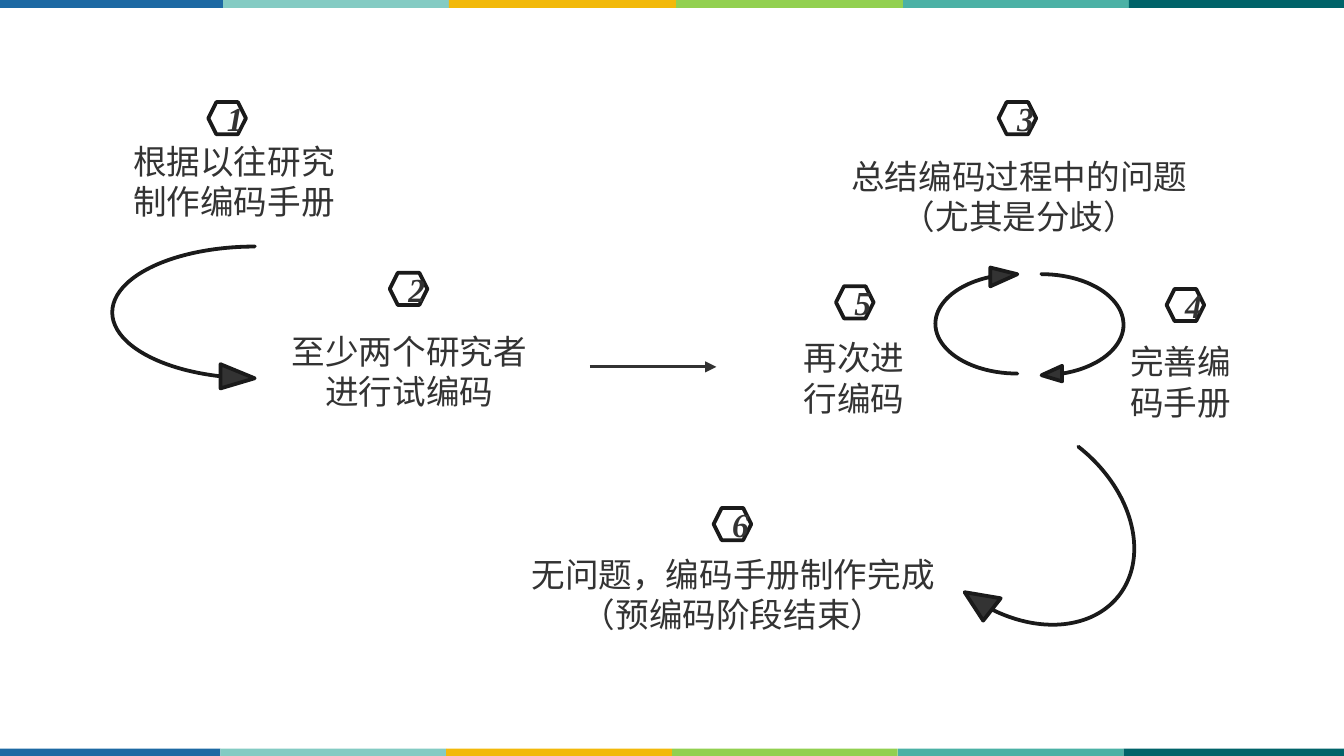
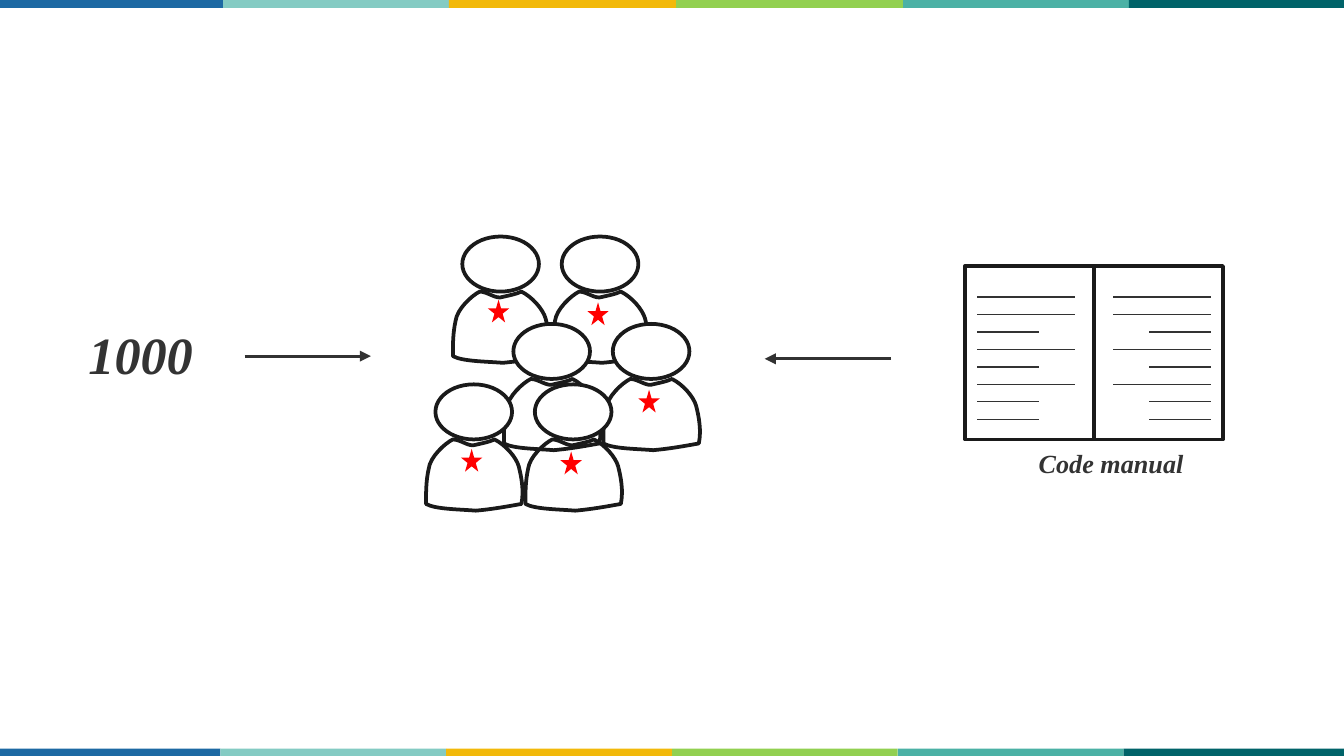
import pptx
import pptx.dml.color
import pptx.enum.shapes
import pptx.enum.text
import pptx.oxml.ns
import pptx.util
from lxml import etree

PX = 9144
WHITE, INK, OUTLINE, RULE, RED = "FFFFFF", "333333", "1A1A1A", "323232", "FF0000"
BANDS = ("1D69A3", "84CBC3", "F2B90A", "92D050", "4BB1A5", "006369")
rgb = pptx.dml.color.RGBColor.from_string
qn = pptx.oxml.ns.qn
KIND = pptx.enum.shapes.MSO_SHAPE
ALIGN = pptx.enum.text.PP_ALIGN
ANCHOR = pptx.enum.text.MSO_ANCHOR
FIT = pptx.enum.text.MSO_AUTO_SIZE


def draw(slide, kind, box, fill, line=None):
    shape = slide.shapes.add_shape(kind, *(n * PX for n in box))
    shape.shadow.inherit = False
    shape.fill.solid()
    shape.fill.fore_color.rgb = rgb(fill)
    if line:
        shape.line.color.rgb = rgb(line)
        shape.line.width = pptx.util.Pt(2)
    else:
        shape.line.fill.background()
    return shape


def write(shape, lines, size, font, strong, align, anchor, wrap):
    frame = shape.text_frame
    frame.auto_size = FIT.NONE if wrap else FIT.SHAPE_TO_FIT_TEXT
    frame.word_wrap = wrap
    frame.vertical_anchor = anchor
    for i, line in enumerate(lines):
        paragraph = frame.add_paragraph() if i else frame.paragraphs[0]
        paragraph.alignment = align
        run = paragraph.add_run()
        run.text = line
        run.font.size = pptx.util.Pt(size)
        run.font.name = font
        run.font.color.rgb = rgb(INK)
        if strong:
            run.font.bold = run.font.italic = True


prs = pptx.Presentation()
prs.slide_width = 1000 * PX
prs.slide_height = prs.slide_width * 9 // 16
process, coding = (prs.slides.add_slide(prs.slide_layouts[6]) for _ in range(2))

for slide in (process, coding):
    for left, top, right in ((-3, 0, 1009), (-4, 557, 1004)):
        edges = [round(left + i * (right - left) / 6) for i in range(7)]
        for start, end, color in zip(edges, edges[1:], BANDS):
            draw(slide, KIND.RECTANGLE, (start, top, end - start, 6), color)

steps = (
    ((88, 100, 172, 71), ALIGN.CENTER, ("根据以往研究", "制作编码手册")),
    ((206, 241, 197, 71), ALIGN.CENTER, ("至少两个研究者", "进行试编码")),
    ((384, 407, 323, 71), ALIGN.CENTER, ("无问题，编码手册制作完成", "（预编码阶段结束）")),
    ((622, 111, 273, 71), ALIGN.CENTER, ("总结编码过程中的问题", "（尤其是分歧）")),
    ((831, 249, 96, 71), ALIGN.LEFT, ("完善编", "码手册")),
    ((588, 246, 96, 71), ALIGN.LEFT, ("再次进", "行编码")),
)
for box, align, lines in steps:
    step = draw(process, KIND.RECTANGLE, box, WHITE)
    write(step, lines, 18, "Calibri", False, align, ANCHOR.TOP, False)

turns = (
    (KIND.CURVED_RIGHT_ARROW, (775, 204, 61, 81), (0, 0.19, 0.25), 0, "flipH"),
    (KIND.CURVED_RIGHT_ARROW, (696, 197, 61, 81), (0, 0.23, 0.33), 0, "flipV"),
    (KIND.CURVED_DOWN_ARROW, (719, 373, 148, 92), (0, 0.23, 0.26), 128, None),
    (KIND.CURVED_UP_ARROW, (83, 184, 107, 106), (0, 0.17, 0.24), 90, None),
)
for kind, box, adjustments, rotation, flip in turns:
    turn = draw(process, kind, box, INK, OUTLINE)
    for i, value in enumerate(adjustments):
        turn.adjustments[i] = value
    turn.rotation = rotation
    if flip:
        turn._element.spPr.find(qn("a:xfrm")).set(flip, "1")

badges = ((155, 76), (290, 203), (743, 76), (868, 215), (622, 213), (531, 378))
for number, (left, top) in enumerate(badges, 1):
    badge = draw(process, KIND.HEXAGON, (left, top, 28, 24), WHITE, OUTLINE)
    write(badge, [str(number)], 18, "Times New Roman", True, ALIGN.CENTER, ANCHOR.MIDDLE, True)

torso = (
    (7, 52), (25, 52), (37, 53), (49, 52), (60, 50), (71, 48),
    (73, 38), (71, 28), (69, 20), (67, 13), (59, 4), (51, 0),
    (47, 2), (41, 3), (37, 4), (32, 6), (26, 0), (20, 0),
    (14, 3), (3, 13), (2, 22), (0, 31), (0, 39), (0, 48),
)
pairs = ((337, 217, (223, 225)), (375, 282, (291, 290)), (317, 327, (334, 336)))
for pair_left, top, star_tops in pairs:
    lefts = (pair_left, pair_left + 74)
    for left in lefts:
        draw(coding, KIND.OVAL, (left + 7, top - 41, 57, 41), WHITE, OUTLINE)
        builder = coding.shapes.build_freeform(left, top + 48, scale=PX)
        builder.add_line_segments([(left + x, top + y) for x, y in torso], close=True)
        body = builder.convert_to_shape()
        body.shadow.inherit = False
        body.fill.background()
        body.line.color.rgb = rgb(OUTLINE)
        body.line.width = pptx.util.Pt(2)
        segments = list(body._element.iter(qn("a:lnTo")))
        for i in range(0, len(torso), 3):
            curve = etree.Element(qn("a:cubicBezTo"))
            segments[i].addprevious(curve)
            for segment in segments[i:i + 3]:
                curve.append(segment[0])
                segment.getparent().remove(segment)
    for left, star_top in zip(lefts, star_tops):
        draw(coding, KIND.STAR_5_POINT, (left + 26, star_top, 16, 17), RED)

for page_left in (718, 814):
    draw(coding, KIND.RECTANGLE, (page_left, 198, 96, 129), WHITE, OUTLINE)

arrows = (
    (process, 439, 273, 533, 273),
    (coding, 182, 265, 276, 265),
    (coding, 663, 267, 569, 267),
)
routes = [(*arrow, 1.5, True) for arrow in arrows]
for outer, direction in ((727, 1), (901, -1)):
    for i, length in enumerate((73, 73, 46, 73, 46, 73, 46, 46)):
        y = 221 + 13 * i
        routes.append((coding, outer, y, outer + direction * length, y, 0.75, False))
for slide, x1, y1, x2, y2, width, pointed in routes:
    route = slide.shapes.add_connector(
        pptx.enum.shapes.MSO_CONNECTOR.STRAIGHT, x1 * PX, y1 * PX, x2 * PX, y2 * PX)
    route.line.color.rgb = rgb(RULE)
    route.line.width = pptx.util.Pt(width)
    if pointed:
        etree.SubElement(route.line._get_or_add_ln(), qn("a:tailEnd"), type="triangle")
    etree.SubElement(route._element.spPr, qn("a:effectLst"))

captions = (((56, 235, 99, 57), "1000", 28), ((763, 328, 129, 34), "Code manual", 14))
for box, text, size in captions:
    caption = coding.shapes.add_textbox(*(n * PX for n in box))
    write(caption, [text], size, "Times New Roman", True, ALIGN.LEFT, ANCHOR.TOP, False)

prs.save("out.pptx")
